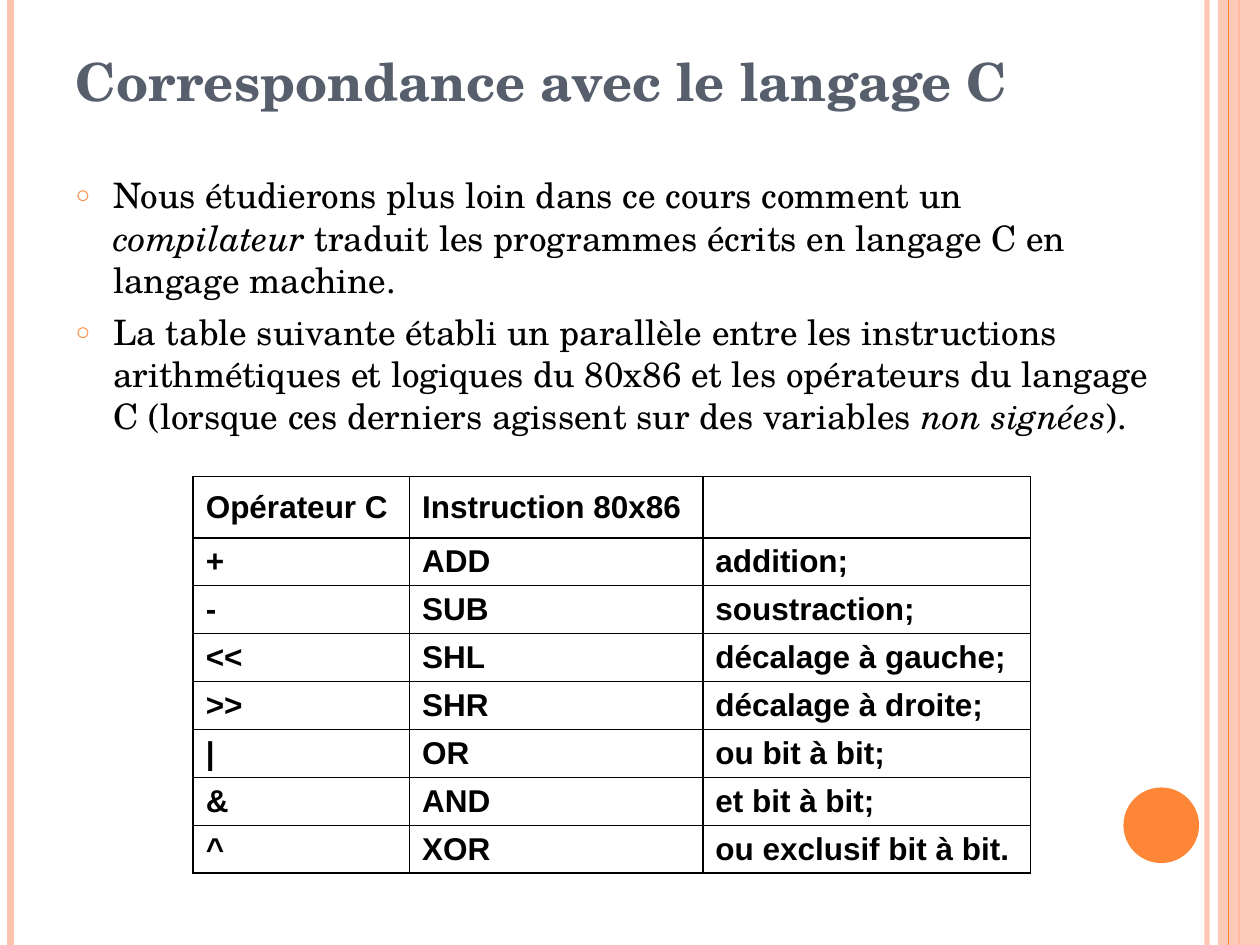
from pptx import Presentation
from pptx.dml.color import RGBColor
from pptx.enum.shapes import MSO_CONNECTOR, MSO_SHAPE
from pptx.enum.text import MSO_ANCHOR, MSO_AUTO_SIZE, PP_ALIGN
from pptx.oxml import parse_xml
from pptx.oxml.ns import nsdecls
from pptx.util import Pt

ORANGE = RGBColor(0xFE, 0x86, 0x37)
PEACH = RGBColor(0xFE, 0xC3, 0xAE)
SLATE = RGBColor(0x57, 0x5F, 0x6D)
BLACK = RGBColor(0, 0, 0)

WIDTH, HEIGHT = 720, 540
TEXT_LEFT, TEXT_WIDTH = 36, 628

TITLE = "Correspondance avec le langage C"
# Each paragraph is a list of (text, italic) spans
BULLETS = [
    [("Nous étudierons plus loin dans ce cours comment un ", False),
     ("compilateur ", True),
     ("traduit les programmes écrits en langage C en langage machine.", False)],
    [("La table suivante établi un parallèle entre les instructions "
      "arithmétiques et logiques du 80x86 et les opérateurs du langage C "
      "(lorsque ces derniers agissent sur des variables ", False),
     ("non signées", True),
     (").", False)],
]
OPERATORS = [
    ("Opérateur C", "Instruction 80x86", ""),
    ("+", "ADD", "addition;"),
    ("-", "SUB", "soustraction;"),
    ("<<", "SHL", "décalage à gauche;"),
    (">>", "SHR", "décalage à droite;"),
    ("|", "OR", "ou bit à bit;"),
    ("&", "AND", "et bit à bit;"),
    ("^", "XOR", "ou exclusif bit à bit."),
]


def element(xml):
    """Make a drawing element from markup such as '<a:x .../>'."""
    return parse_xml(f"<a:holder {nsdecls('a')}>{xml}</a:holder>")[0]


def apply(target, values):
    for name, value in values.items():
        setattr(target, name, value)


class SlideWriter:
    serif = "TeX Gyre Schola"
    title_font = {"name": serif, "size": Pt(30), "bold": True}
    body_font = {"name": serif, "size": Pt(20)}
    table_font = {"name": "Arial", "size": Pt(18), "bold": True}
    cell_format = {"vertical_anchor": MSO_ANCHOR.MIDDLE,
                   "margin_top": Pt(3.3), "margin_bottom": Pt(3.3)}

    def __init__(self, page):
        self.page = page

    def place(self, box, left, top, width, height):
        apply(box, {"left": Pt(left), "top": Pt(top),
                    "width": Pt(width), "height": Pt(height)})

    def add_span(self, para, text, font, color, italic=False):
        span = para.add_run()
        span.text = text
        apply(span.font, {**font, "italic": italic})
        span.font.color.rgb = color

    def vertical_line(self, x, color, weight, opacity=100):
        line = self.page.shapes.add_connector(
            MSO_CONNECTOR.STRAIGHT, Pt(x), 0, Pt(x), Pt(HEIGHT))
        line.line.color.rgb = color
        line.line.width = Pt(weight)
        self.set_opacity(line, opacity)
        line._element.spPr.append(element("<a:effectLst/>"))

    def shape(self, kind, left, top, width, height, color, opacity=100):
        box = self.page.shapes.add_shape(
            kind, Pt(left), Pt(top), Pt(width), Pt(height))
        box.shadow.inherit = False
        box.fill.solid()
        box.fill.fore_color.rgb = color
        box.line.fill.background()
        self.set_opacity(box, opacity)

    def set_opacity(self, box, percent):
        if percent < 100:
            color = box._element.spPr.xpath(".//a:srgbClr")[0]
            color.append(element(f'<a:alpha val="{percent * 1000}"/>'))

    def title(self, text, top, height):
        box = self.page.shapes.title
        self.place(box, TEXT_LEFT, top, TEXT_WIDTH, height)
        apply(box.text_frame, {"vertical_anchor": MSO_ANCHOR.BOTTOM,
                               "auto_size": MSO_AUTO_SIZE.NONE})
        para = box.text_frame.paragraphs[0]
        para.alignment = PP_ALIGN.LEFT
        self.add_span(para, text, self.title_font, SLATE)

    def bullets(self, paragraphs, top, height):
        box = self.page.placeholders[1]
        self.place(box, TEXT_LEFT, top, TEXT_WIDTH, height)
        frame = box.text_frame
        frame.auto_size = MSO_AUTO_SIZE.NONE
        for index, spans in enumerate(paragraphs):
            para = frame.add_paragraph() if index else frame.paragraphs[0]
            para.space_before = Pt(6)
            properties = para._p.get_or_add_pPr()
            properties.set("marL", str(Pt(21.6)))
            properties.set("indent", str(Pt(-21.6)))
            for xml in (f'<a:buClr><a:srgbClr val="{ORANGE}"/></a:buClr>',
                        '<a:buSzPct val="70000"/>',
                        '<a:buChar char="○"/>'):
                properties.append(element(xml))
            for text, italic in spans:
                self.add_span(para, text, self.body_font, BLACK, italic)

    def table(self, rows, left, top, widths, heights):
        table = self.page.shapes.add_table(
            len(rows), len(widths), Pt(left), Pt(top),
            Pt(sum(widths)), Pt(sum(heights))).table
        for column, width in zip(table.columns, widths):
            column.width = Pt(width)
        for row, height, texts in zip(table.rows, heights, rows):
            row.height = Pt(height)
            for cell, text in zip(row.cells, texts):
                self.fill_cell(cell, text)

    def fill_cell(self, cell, text):
        apply(cell, self.cell_format)
        properties = cell._tc.get_or_add_tcPr()
        for side in "LRTB":
            properties.append(element(
                f'<a:ln{side} w="{Pt(1)}"><a:solidFill><a:srgbClr val="{BLACK}"/>'
                f'</a:solidFill></a:ln{side}>'))
        cell.fill.background()
        if text:
            para = cell.text_frame.paragraphs[0]
            para.alignment = PP_ALIGN.JUSTIFY
            self.add_span(para, text, self.table_font, BLACK)


def main():
    deck = Presentation()
    deck.slide_width, deck.slide_height = Pt(WIDTH), Pt(HEIGHT)
    writer = SlideWriter(deck.slides.add_slide(deck.slide_layouts[1]))

    # Side bands and disc
    writer.vertical_line(689.8, PEACH, 3, 93)
    writer.vertical_line(6, PEACH, 4.5)
    writer.vertical_line(708, ORANGE, 1.5)
    writer.shape(MSO_SHAPE.RECTANGLE, 696, 0, 24, HEIGHT, PEACH, 87)
    writer.vertical_line(702, ORANGE, 0.75)
    writer.shape(MSO_SHAPE.OVAL, 642, 450, 43.2, 43.2, ORANGE)

    # Title and introduction
    writer.title(TITLE, 21.6, 46)
    writer.bullets(BULLETS, 95.8, 168.5)

    # Operators and their instructions
    heights = [34.9] + [27.4] * (len(OPERATORS) - 1)
    writer.table(OPERATORS, 110.4, 272.4, [123.6, 167.6, 187.2], heights)

    deck.save("out.pptx")


if __name__ == "__main__":
    main()
